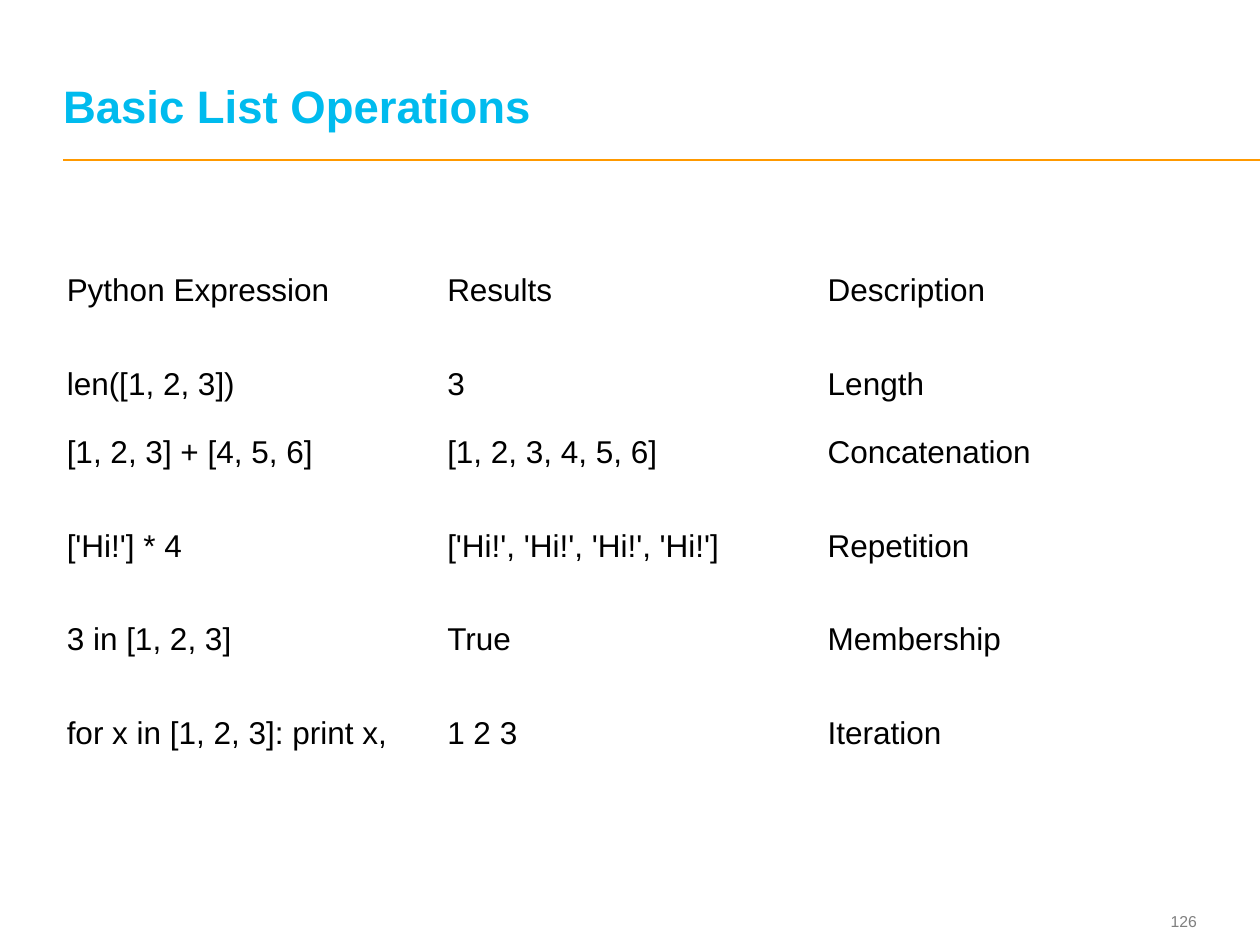
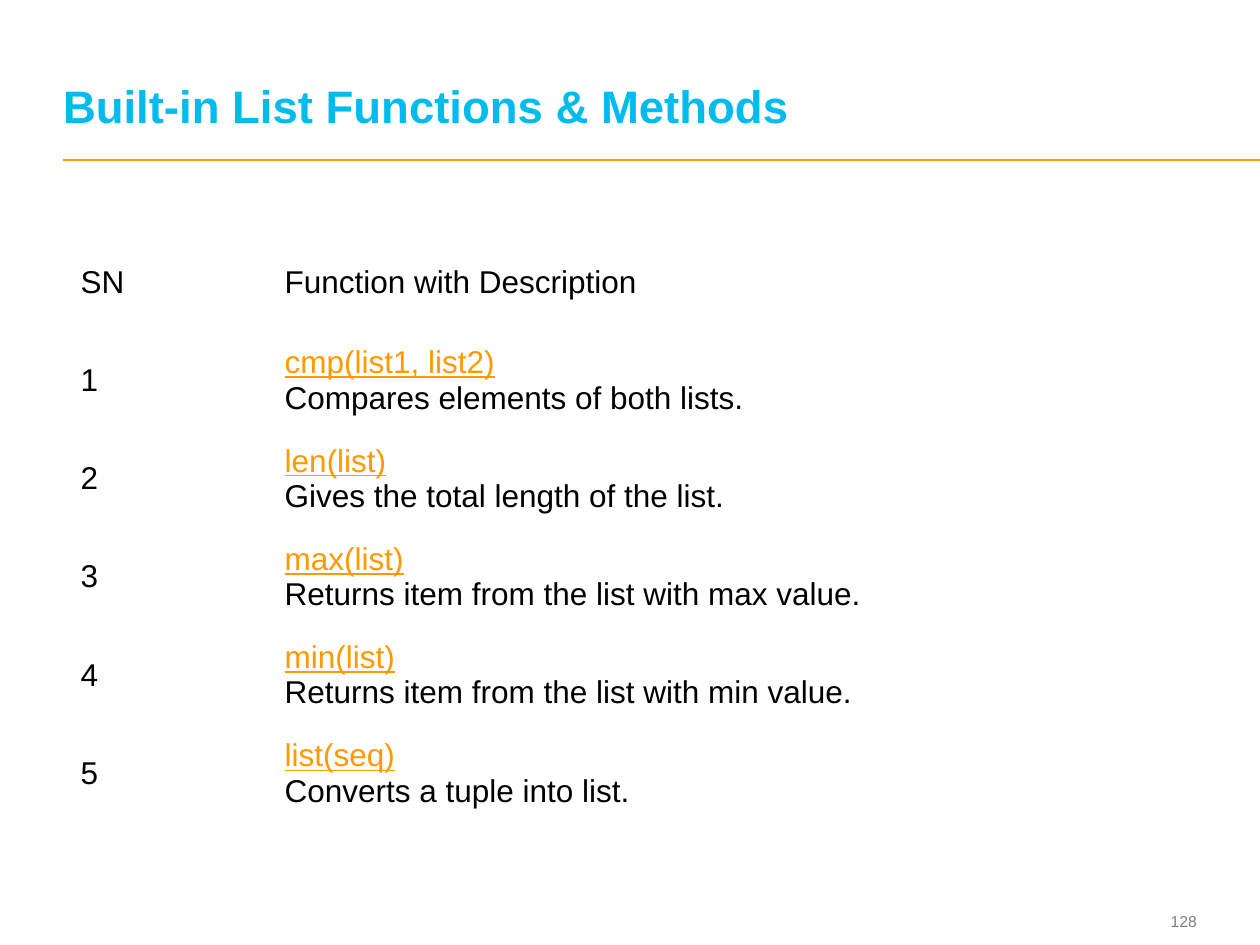
from dataclasses import dataclass

from lxml import etree
from pptx import Presentation
from pptx.dml.color import RGBColor
from pptx.enum import shapes, text
from pptx.oxml.ns import qn
from pptx.util import Inches, Pt

FONT = "Arial"
CYAN, AMBER, GREY, BLACK = "00BBEE", "FF9900", "7F7F7F", "000000"
LEFT = 0.5


@dataclass
class Grid:
    left: float
    top: float
    cols: list[float]
    rows: list[float]
    cells: list[tuple[str, ...]]


@dataclass
class Page:
    title: str
    number: int
    grid: Grid


OPS = Grid(0.43, 1.83, [3.02] * 3, [0.95, 0.54, 0.54, 0.95, 0.54, 0.95], [
    ("Python Expression", "Results", "Description"),
    ("len([1, 2, 3])", "3", "Length"),
    ("[1, 2, 3] + [4, 5, 6]", "[1, 2, 3, 4, 5, 6]", "Concatenation"),
    ("['Hi!'] * 4", "['Hi!', 'Hi!', 'Hi!', 'Hi!']", "Repetition"),
    ("3 in [1, 2, 3]", "True", "Membership"),
    ("for x in [1, 2, 3]: print x,", "1 2 3", "Iteration"),
])

# A line break in a cell parts the function's call from its description.
CALLS = Grid(0.54, 1.85, [1.62, 7.57], [0.78] * 6, [
    ("SN", "Function with Description"),
    ("1", "cmp(list1, list2)\nCompares elements of both lists."),
    ("2", "len(list)\nGives the total length of the list."),
    ("3", "max(list)\nReturns item from the list with max value."),
    ("4", "min(list)\nReturns item from the list with min value."),
    ("5", "list(seq)\nConverts a tuple into list."),
])

PAGES = [
    Page("Basic List Operations", 126, OPS),
    Page("Built-in List Functions & Methods", 128, CALLS),
]


def rgb(color: str) -> RGBColor:
    return RGBColor.from_string(color)


def style(font, size: float, color: str, bold: bool = False) -> None:
    font.name, font.size, font.bold = FONT, Pt(size), bold
    font.color.rgb = rgb(color)


def frame(shape, anchor):
    """Strip the insets of a shape's text and return its first paragraph."""
    body = shape.text_frame
    body.margin_left = body.margin_right = 0
    body.margin_top = body.margin_bottom = 0
    body.word_wrap = True
    body.auto_size = text.MSO_AUTO_SIZE.NONE
    body.vertical_anchor = anchor
    return body.paragraphs[0]


def add_title(slide, words: str) -> None:
    title = slide.shapes.title
    title.left, title.top = Inches(LEFT), Inches(0.19)
    title.width, title.height = Inches(8.97), Inches(0.86)
    para = frame(title, text.MSO_ANCHOR.BOTTOM)
    para.text = words
    para.alignment = text.PP_ALIGN.LEFT
    para.line_spacing = Pt(26)
    style(para.font, 26, CYAN, True)


def add_rule(slide) -> None:
    y = Inches(1.27)
    rule = slide.shapes.add_connector(
        shapes.MSO_CONNECTOR.STRAIGHT, Inches(LEFT), y, Inches(10), y)
    rule.line.color.rgb = rgb(AMBER)
    rule.line.width = Pt(1)
    etree.SubElement(rule._element.spPr, qn("a:effectLst"))


def add_number(slide, number: int) -> None:
    box = slide.shapes.add_textbox(
        Inches(8.91), Inches(7.18), Inches(0.59), Inches(0.27))
    para = frame(box, text.MSO_ANCHOR.MIDDLE)
    para.text = str(number)
    para.alignment = text.PP_ALIGN.RIGHT
    style(para.font, 9, GREY)


def fill_cell(cell, words: str) -> None:
    cell.fill.background()
    cell.vertical_anchor = text.MSO_ANCHOR.MIDDLE
    para = cell.text_frame.paragraphs[0]
    call, _, note = words.rpartition("\n")
    if call:
        link = para.add_run()
        link.text = call
        link.font.underline = True
        link.font.color.rgb = rgb(AMBER)
        para.add_line_break()
    para.add_run().text = note
    style(para.font, 18, BLACK)


def add_grid(slide, grid: Grid) -> None:
    table = slide.shapes.add_table(
        len(grid.rows), len(grid.cols), Inches(grid.left), Inches(grid.top),
        Inches(sum(grid.cols)), Inches(sum(grid.rows))).table
    table.first_row = table.horz_banding = False
    for col, width in zip(table.columns, grid.cols):
        col.width = Inches(width)
    for row, height, line in zip(table.rows, grid.rows, grid.cells):
        row.height = Inches(height)
        for cell, words in zip(row.cells, line):
            fill_cell(cell, words)


def main() -> None:
    deck = Presentation()
    deck.slide_width, deck.slide_height = Inches(10), Inches(7.5)
    for page in PAGES:
        slide = deck.slides.add_slide(deck.slide_layouts[5])
        add_rule(slide)
        add_number(slide, page.number)
        add_title(slide, page.title)
        add_grid(slide, page.grid)
    deck.save("out.pptx")


if __name__ == "__main__":
    main()
